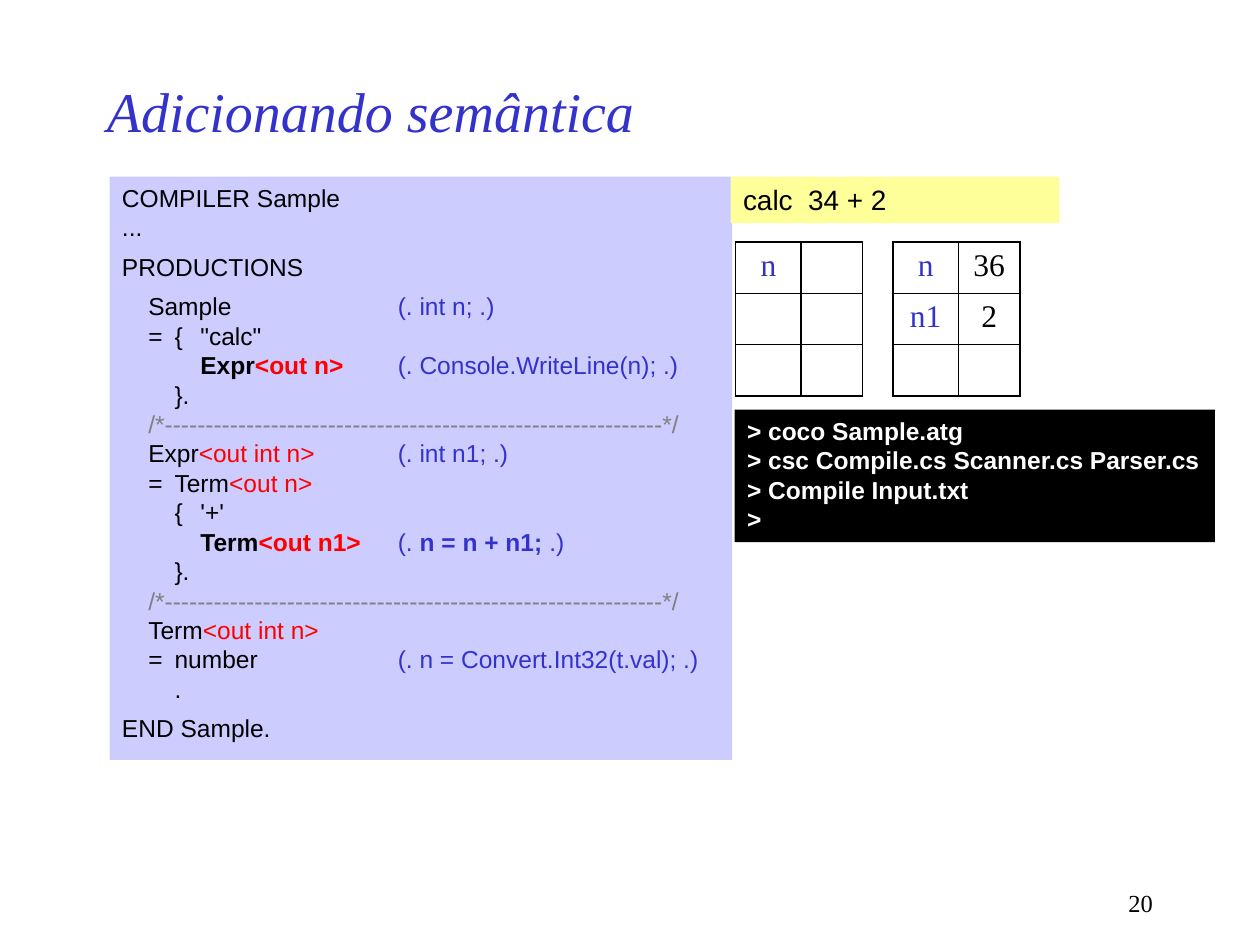
from lxml import etree
from pptx import Presentation
from pptx.dml.color import RGBColor
from pptx.enum import shapes, text
from pptx.oxml import ns
from pptx.util import Cm, Pt

BLACK, BLUE, RED, GRAY, WHITE = "000000", "3333CC", "FF0000", "808080", "FFFFFF"
SANS, SERIF = "Arial", "Times New Roman"
RULE = [("\t/*" + "-" * 61 + "*/", GRAY)]
TAB_STOPS = (0.53, 1.06, 1.58, 5.56)

# Each line is a list of runs: text, colour and, where needed, bold
GRAMMAR = [
    [("COMPILER Sample", BLACK)],
    [("...", BLACK)],
    [("PRODUCTIONS", BLACK)],
    [("\tSample \t", BLACK), ("(. int n; .)", BLUE)],
    [('\t=\t{\t"calc" ', BLACK)],
    [("\t\t\t", BLACK), ("Expr", BLACK, True), ("<out n>\t", RED, True),
     ("(. Console.WriteLine(n); .)", BLUE)],
    [("\t\t}.", BLACK)],
    RULE,
    [("\tExpr", BLACK), ("<out int n>\t", RED), ("(. int n1; .)", BLUE)],
    [("\t=\tTerm", BLACK), ("<out n>", RED)],
    [("\t\t{\t'+'", BLACK)],
    [("\t\t\t", BLACK), ("Term", BLACK, True), ("<out n1>\t", RED, True),
     ("(. ", BLUE), ("n = n + n1;", BLUE, True), (" .)", BLUE)],
    [("\t\t}.", BLACK)],
    RULE,
    [("\tTerm", BLACK), ("<out int n> ", RED)],
    [("\t=\tnumber\t", BLACK), ("(. n = Convert.Int32(t.val); .)", BLUE)],
    [("\t\t.", BLACK)],
    [("END Sample.", BLACK)],
]
SPACED_LINES = (2, 3, 17)
COMMANDS = ["> coco Sample.atg", "> csc Compile.cs Scanner.cs Parser.cs",
            "> Compile Input.txt", "> "]


def rgb(value):
    """Turn a hex string into a colour."""
    return RGBColor.from_string(value)


def set_font(font, name, size, color, bold=False, italic=False):
    """Format a paragraph font."""
    font.name, font.size, font.bold, font.italic = name, Pt(size), bold, italic
    font.color.rgb = rgb(color)


def add_panel(s, box, fill):
    """Add a filled rectangle and return its text frame."""
    sp = s.shapes.add_shape(shapes.MSO_SHAPE.RECTANGLE, *map(Cm, box))
    sp.shadow.inherit = False
    sp.fill.solid()
    sp.fill.fore_color.rgb = rgb(fill)
    sp.line.fill.background()
    tf = sp.text_frame
    tf.word_wrap = True
    tf.vertical_anchor = text.MSO_ANCHOR.TOP
    return tf


def add_lines(tf, lines, size, color, bold=False):
    """Fill a text frame with plain left-aligned lines."""
    tf.text = "\n".join(lines)
    for p in tf.paragraphs:
        p.alignment = text.PP_ALIGN.LEFT
        set_font(p.font, SANS, size, color, bold)


def add_tabs(p, stops):
    """Give a paragraph left tab stops, in centimetres."""
    tabs = etree.SubElement(p._p.get_or_add_pPr(), ns.qn("a:tabLst"))
    for stop in stops:
        etree.SubElement(tabs, ns.qn("a:tab"), pos=str(int(Cm(stop))), algn="l")


def add_grammar(s, box):
    """Add the coloured grammar listing."""
    tf = add_panel(s, box, "CCCCFF")
    for i, runs in enumerate(GRAMMAR):
        p = tf.paragraphs[0] if i == 0 else tf.add_paragraph()
        p.alignment = text.PP_ALIGN.LEFT
        if i in SPACED_LINES:
            p.space_before = Pt(5.8)
        add_tabs(p, TAB_STOPS)
        set_font(p.font, SANS, 14, BLACK)
        for content, color, *bold in runs:
            r = p.add_run()
            r.text = content
            r.font.color.rgb = rgb(color)
            if bold:
                r.font.bold = True


def add_borders(cell):
    """Draw a thin black line on each side of a cell."""
    tc_pr = cell._tc.get_or_add_tcPr()
    for side in ("lnL", "lnR", "lnT", "lnB"):
        ln = etree.SubElement(tc_pr, ns.qn("a:" + side), w=str(int(Pt(1))))
        fill = etree.SubElement(ln, ns.qn("a:solidFill"))
        etree.SubElement(fill, ns.qn("a:srgbClr"), val=BLACK)


def add_symbols(s, box, rows):
    """Add a two-column table of names and values."""
    table = s.shapes.add_table(len(rows), 2, *map(Cm, box)).table
    table.first_row = table.horz_banding = False
    for column, width in zip(table.columns, (1.32, 1.24)):
        column.width = Cm(width)
    for i, row in enumerate(rows):
        for j, value in enumerate(row):
            cell = table.cell(i, j)
            add_borders(cell)
            cell.fill.background()
            cell.text = value
            p = cell.text_frame.paragraphs[0]
            p.alignment = text.PP_ALIGN.CENTER
            set_font(p.font, SERIF, 18, BLACK if j else BLUE)


def add_title(s, box):
    """Place and format the slide title."""
    sp = s.shapes.title
    sp.left, sp.top, sp.width, sp.height = map(Cm, box)
    tf = sp.text_frame
    tf.text = "Adicionando semântica"
    tf.vertical_anchor = text.MSO_ANCHOR.MIDDLE
    p = tf.paragraphs[0]
    p.alignment = text.PP_ALIGN.LEFT
    set_font(p.font, SERIF, 32, BLUE, italic=True)


def add_page_number(s, box):
    """Add the page number at the lower right."""
    tf = s.shapes.add_textbox(*map(Cm, box)).text_frame
    tf.word_wrap = True
    tf.text = "20"
    p = tf.paragraphs[0]
    p.alignment = text.PP_ALIGN.RIGHT
    set_font(p.font, SERIF, 14, BLACK)


def add_example(s, left, top):
    """Add the input, the symbol tables and the commands."""
    add_lines(add_panel(s, (left, top, 6.63, 0.94), "FFFF99"),
              ["calc  34 + 2"], 16, BLACK)
    add_lines(add_panel(s, (left + 0.08, top + 4.7, 9.68, 2.67), BLACK),
              COMMANDS, 14, WHITE, bold=True)
    tables = ([("n", ""), ("", ""), ("", "")],
              [("n", "36"), ("n1", "2"), ("", "")])
    for i, rows in enumerate(tables):
        add_symbols(s, (left + 0.1 + i * 3.17, top + 1.32, 2.56, 3.1), rows)


prs = Presentation()
prs.slide_width, prs.slide_height = Cm(25.4), Cm(19.05)
s = prs.slides.add_slide(prs.slide_layouts[5])
add_title(s, (1.9, 1.27, 19.05, 1.9))
add_grammar(s, (2.21, 3.56, 12.55, 11.76))
add_example(s, 14.73, 3.56)
add_page_number(s, (18.21, 17.78, 5.28, 0.84))
prs.save("out.pptx")
